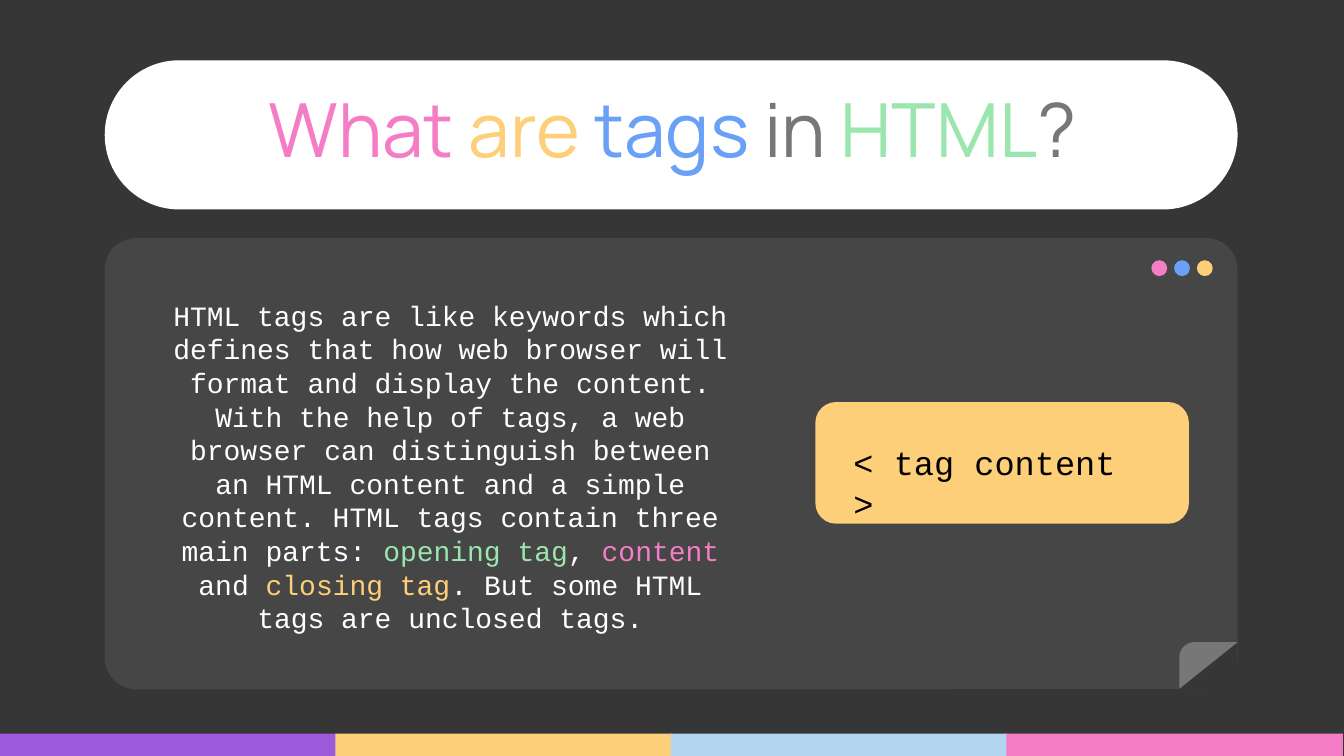
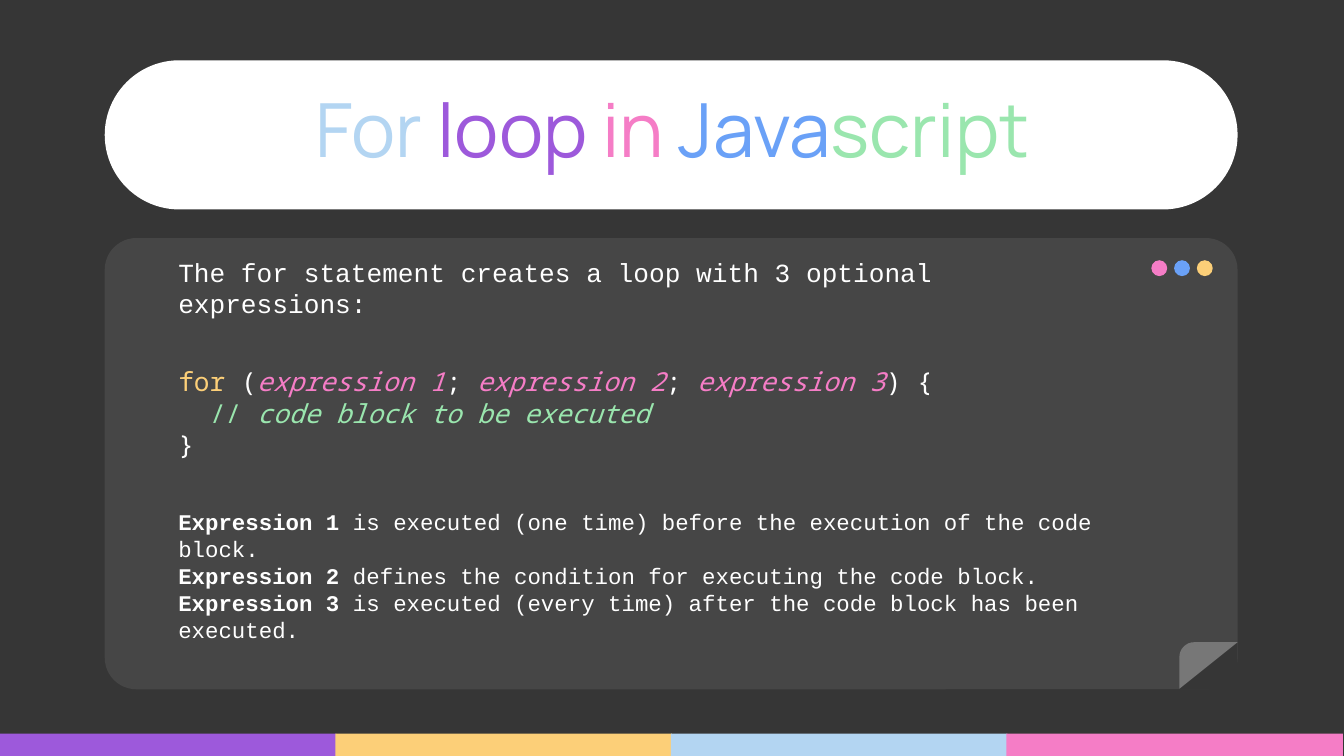
from math import cos, sin, pi

from pptx import Presentation
from pptx.dml.color import RGBColor as RGB
from pptx.enum.shapes import MSO_SHAPE as Kind
from pptx.enum.text import MSO_ANCHOR as Anchor, PP_ALIGN as Align
from pptx.util import Cm, Pt

HUES = {
    "dark": "363636", "panel": "464646", "grey": "777777",
    "white": "FFFFFF", "black": "000000", "pink": "F57DC6",
    "gold": "FCCF78", "blue": "6AA1F7", "sky": "B3D5F2",
    "violet": "9D59DB", "green": "9AE6AE",
}
HEAD, BODY, CODE = "Manrope", "Courier New", "Noto Sans Mono"


def draw(slide, kind, x, y, w, h, hue, adj=None):
    """Add a filled preset shape without line or shadow; lengths in cm."""
    item = slide.shapes.add_shape(kind, Cm(x), Cm(y), Cm(w), Cm(h))
    item.shadow.inherit = False
    item.fill.solid()
    item.fill.fore_color.rgb = RGB.from_string(HUES[hue])
    item.line.fill.background()
    if adj is not None:
        item.adjustments[0] = adj
    return item


def write(slide, x, y, w, h, paras, align=Align.LEFT, anchor=Anchor.MIDDLE,
          pad=0.25):
    """Add a text box; a paragraph is (font, size, runs, gap before, indent)
    and a run is (text, hue, style), style being "", "b" or "i"."""
    frame = slide.shapes.add_textbox(Cm(x), Cm(y), Cm(w), Cm(h)).text_frame
    frame.word_wrap = True
    frame.vertical_anchor = anchor
    frame.margin_top = frame.margin_bottom = Cm(pad)
    for i, (font, size, runs, gap, dent) in enumerate(paras):
        para = frame.paragraphs[0] if i == 0 else frame.add_paragraph()
        para.alignment = align
        para.font.name, para.font.size = font, Pt(size)
        if gap:
            para.space_before = Pt(gap)
        if dent:
            para._p.get_or_add_pPr().set("marL", str(Cm(dent)))
        for text, hue, style in runs:
            run = para.add_run()
            run.text = text
            run.font.color.rgb = RGB.from_string(HUES[hue])
            if style == "b":
                run.font.bold = True
            if style == "i":
                run.font.italic = True
    return frame


titles = [
    [("What ", "pink"), ("are ", "gold"), ("tags ", "blue"),
     ("in ", "grey"), ("HTML", "green"), ("?", "grey")],
    [("For ", "sky"), ("loop ", "violet"), ("in ", "pink"),
     ("Java", "blue"), ("script", "green")],
]

deck = Presentation()
deck.slide_width, deck.slide_height = Cm(25.4), Cm(14.29)

# Shared frame: bands, title pill, window panel, folded corner, title
left, wide = 1.98, 21.41
fold_x, fold_y, fold_w, fold_h, curl = 22.29, 12.14, 1.1, 0.88, 0.28
slides = []
for title in titles:
    slide = deck.slides.add_slide(deck.slide_layouts[6])
    slides.append(slide)
    slide.background.fill.solid()
    slide.background.fill.fore_color.rgb = RGB.from_string(HUES["dark"])

    for i, hue in enumerate(["violet", "gold", "sky", "pink"]):
        draw(slide, Kind.RECTANGLE, i * 6.34, 13.87, 6.36, 0.43, hue)
    draw(slide, Kind.ROUNDED_RECTANGLE, left, 1.14, wide, 2.82, "white", 0.5)
    draw(slide, Kind.ROUNDED_RECTANGLE, left, 4.5, wide, 8.53, "panel", 0.07)
    for i, hue in enumerate(["pink", "blue", "gold"]):
        draw(slide, Kind.OVAL, 21.76 + i * 0.43, 4.92, 0.3, 0.3, hue)

    notch = draw(slide, Kind.RIGHT_TRIANGLE, 22.3, 12.15, 1.07, 0.87, "dark")
    notch._element.spPr.xfrm.set("flipH", "1")
    notch.line.color.rgb = RGB.from_string(HUES["dark"])
    notch.line.width = Pt(0.75)

    arc = [(fold_x + curl * (1 - sin(a)), fold_y + curl * (1 - cos(a)))
           for a in (pi / 2 * k / 8 for k in range(9))]
    pts = [(Cm(x), Cm(y)) for x, y in arc + [
        (fold_x, fold_y + fold_h), (fold_x + fold_w, fold_y)]]
    pen = slide.shapes.build_freeform(*pts[0])
    pen.add_line_segments(pts[1:], close=True)
    flap = pen.convert_to_shape()
    flap.shadow.inherit = False
    flap.fill.solid()
    flap.fill.fore_color.rgb = RGB.from_string(HUES["grey"])
    flap.line.fill.background()

    runs = [(text, hue, "") for text, hue in title]
    frame = write(slide, 4.17, 1.14, 17.07, 2.82,
                  [(HEAD, 40, runs, 0, 0)], Align.CENTER)
    frame.paragraphs[0].line_spacing = 0.85

# Slide 1: tags
tags, loop = slides
about = [
    ("HTML tags are like keywords which defines that how web browser will "
     "format and display the content. With the help of tags, a web browser "
     "can distinguish between an HTML content and a simple content. HTML "
     "tags contain three main parts: ", "white", ""),
    ("opening tag", "green", ""), (", ", "white", ""),
    ("content", "pink", ""), (" and ", "white", ""),
    ("closing tag", "gold", ""),
    (". But some HTML tags are unclosed tags.", "white", ""),
]
write(tags, 2.95, 5.21, 11.13, 7.21, [(BODY, 15, about, 0, 0)], Align.CENTER)
draw(tags, Kind.ROUNDED_RECTANGLE, 15.41, 7.6, 7.06, 2.3, "gold", 0.17)
write(tags, 15.88, 8.23, 6.12, 1.02,
      [(BODY, 18, [("< tag content >", "black", "")], 0, 0)],
      anchor=Anchor.TOP, pad=0.13)

# Slide 2: for loop
call = [("for", "gold", ""), (" (", "white", "")]
for n in (1, 2, 3):
    call += [(f"expression {n}", "pink", "i"),
             ("; " if n < 3 else ") {", "white", "")]
note = [("// ", "green", ""), ("code block to be executed", "green", "i")]
paras = [
    (BODY, 14, [("The for statement creates a loop with 3 optional "
                 "expressions:", "white", "")], 0, 0),
    (CODE, 14, call, 25, 0),
    (CODE, 14, note, 0, 0.6),
    (CODE, 14, [("}", "white", "")], 0, 0),
]
steps = [
    " is executed (one time) before the execution of the code block.",
    " defines the condition for executing the code block.",
    " is executed (every time) after the code block has been executed.",
]
for n, step in enumerate(steps, 1):
    runs = [(f"Expression {n}", "white", "b"), (step, "white", "")]
    paras.append((BODY, 12, runs, 26 if n == 1 else 0, 0))
frame = write(loop, 3.12, 5.16, 18.49, 7.21, paras)
frame.margin_bottom = Cm(0.78)

deck.save("out.pptx")
